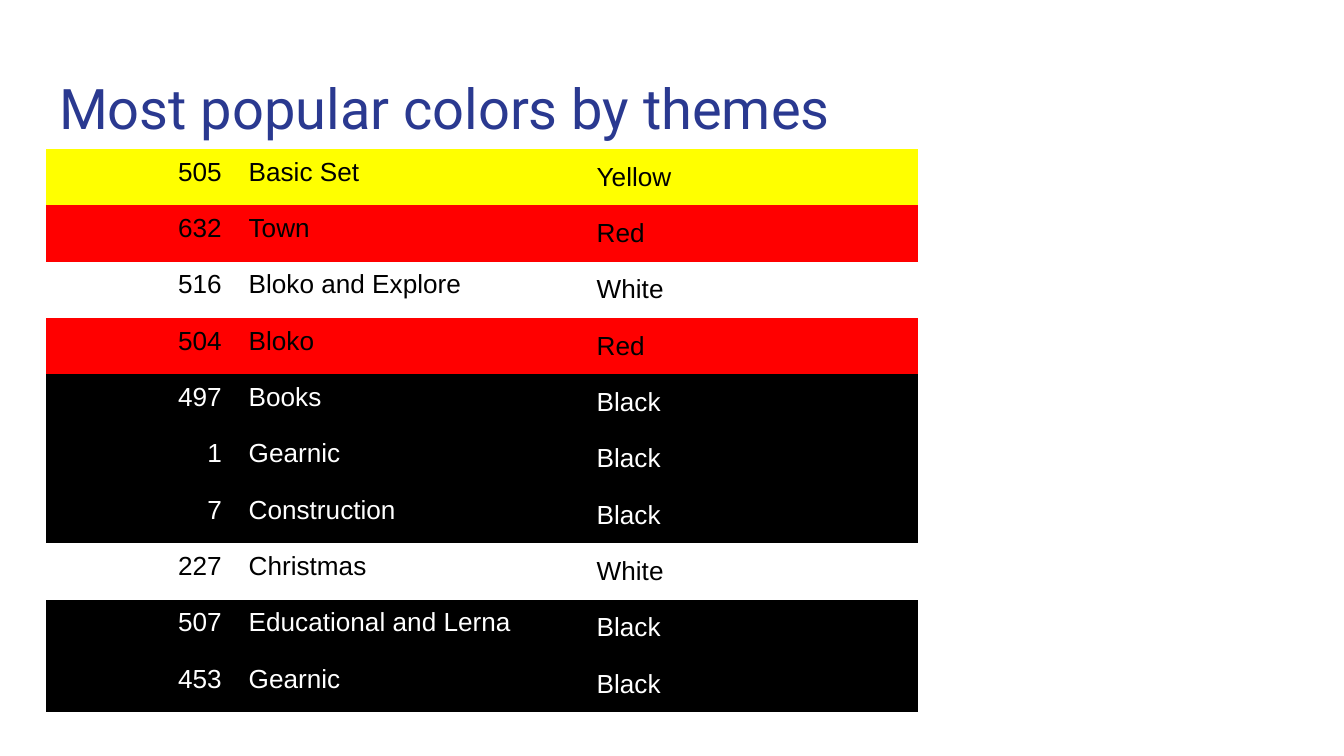
from pptx import Presentation
from pptx.dml.color import RGBColor
from pptx.enum import text as t
from pptx.util import Inches, Pt

TITLE = "Most popular colors by themes"
ROWS = [
    ("505", "Basic Set", "Yellow"),
    ("632", "Town", "Red"),
    ("516", "Bloko and Explore", "White"),
    ("504", "Bloko", "Red"),
    ("497", "Books", "Black"),
    ("1", "Gearnic", "Black"),
    ("7", "Construction", "Black"),
    ("227", "Christmas", "White"),
    ("507", "Educational and Lerna", "Black"),
    ("453", "Gearnic", "Black"),
]
FILLS = {"Yellow": "FFFF00", "Red": "FF0000", "White": "FFFFFF", "Black": "000000"}
WIDTHS = [1.41, 2.59, 2.49]
ALIGNS = [t.PP_ALIGN.RIGHT, t.PP_ALIGN.LEFT, t.PP_ALIGN.LEFT]
LEADS = [0.8, 0.8, 1.0]
LEFT, TOP, ROW = 0.34, 1.11, 0.39
PLAIN = "{2D5ABB26-0587-4C30-8999-92F81FD0307C}"  # no style, no grid


def paint(fill, color):
    fill.solid()
    fill.fore_color.rgb = RGBColor.from_string(color)


def write(para, words, font, size, color):
    run = para.add_run()
    run.text = words
    run.font.name = font
    run.font.size = Pt(size)
    run.font.color.rgb = RGBColor.from_string(color)


def pad(box):
    box.margin_left = box.margin_right = Inches(0.1)
    box.margin_top = box.margin_bottom = Inches(0.1)


prs = Presentation()
prs.slide_width = Inches(10)
prs.slide_height = prs.slide_width * 9 // 16
slide = prs.slides.add_slide(prs.slide_layouts[5])
paint(slide.background.fill, "FFFFFF")

title = slide.shapes.title
title.left, title.top = Inches(LEFT), Inches(0.45)
title.width, title.height = Inches(9.32), Inches(0.66)
frame = title.text_frame
pad(frame)
frame.word_wrap = True
frame.auto_size = t.MSO_AUTO_SIZE.NONE
frame.vertical_anchor = t.MSO_ANCHOR.TOP
frame.paragraphs[0].alignment = t.PP_ALIGN.LEFT
write(frame.paragraphs[0], TITLE, "Roboto", 30, "2A3990")

table = slide.shapes.add_table(
    len(ROWS), len(WIDTHS), Inches(LEFT), Inches(TOP),
    Inches(sum(WIDTHS)), Inches(ROW * len(ROWS))).table
table.first_row = table.horz_banding = False
table._tbl.tblPr[0].text = PLAIN
for col, width in zip(table.columns, WIDTHS):
    col.width = Inches(width)

for r, row in enumerate(ROWS):
    table.rows[r].height = Inches(ROW)
    shade = row[-1]
    ink = "FFFFFF" if shade == "Black" else "000000"
    for c, words in enumerate(row):
        cell = table.cell(r, c)
        pad(cell)
        paint(cell.fill, FILLS[shade])
        para = cell.text_frame.paragraphs[0]
        para.alignment = ALIGNS[c]
        para.line_spacing = LEADS[c]
        write(para, words, "Arial", 14, ink)

prs.save("out.pptx")
